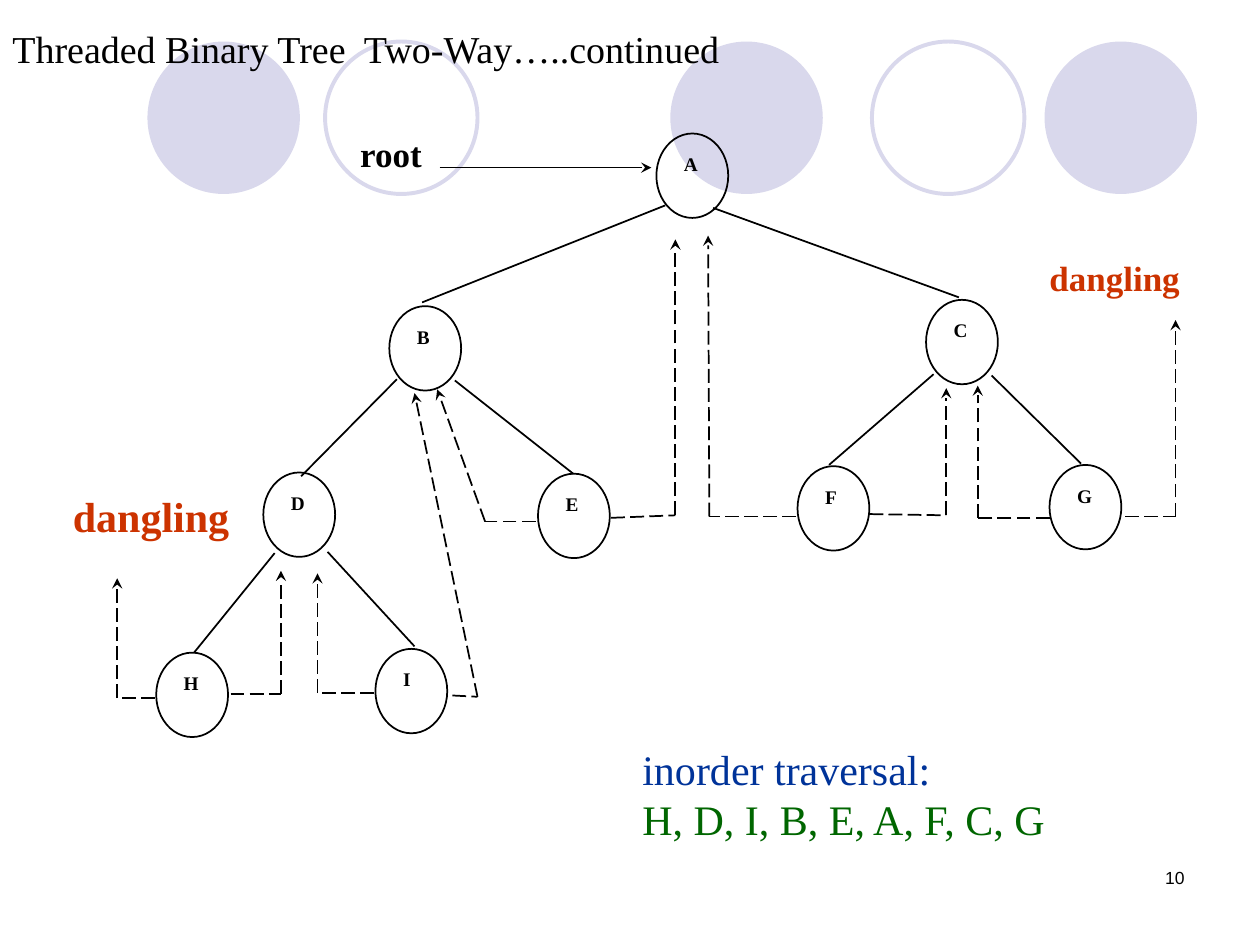
from dataclasses import dataclass
from typing import Any

from lxml.etree import SubElement
from pptx import Presentation
from pptx.dml.color import RGBColor
from pptx.enum.dml import MSO_LINE
from pptx.enum.shapes import MSO_CONNECTOR, MSO_SHAPE
from pptx.enum.text import MSO_ANCHOR, PP_ALIGN
from pptx.oxml.ns import qn
from pptx.util import Inches, Pt

COLORS = {
    "ink": "000000",
    "lavender": "D9D8EC",
    "dangling": "CC3300",
    "heading": "003399",
    "order": "006600",
}
NODE_WIDTH, NODE_HEIGHT = 0.57, 0.67
CIRCLE_SIZE = 1.21


@dataclass
class TreeSlide:
    """Draws the parts of a threaded tree on one slide."""

    slide: Any
    font: str = "Times New Roman"
    line_width: float = 1

    def color(self, name):
        """Return the named colour."""
        return RGBColor.from_string(COLORS[name])

    def ellipse(self, left, top, width, height, fill=None, line=None, weight=1):
        """Draw an ellipse with an optional fill and outline."""
        oval = self.slide.shapes.add_shape(
            MSO_SHAPE.OVAL, Inches(left), Inches(top), Inches(width), Inches(height)
        )
        oval.shadow.inherit = False
        if fill:
            oval.fill.solid()
            oval.fill.fore_color.rgb = self.color(fill)
        else:
            oval.fill.background()
        if line:
            oval.line.color.rgb = self.color(line)
            oval.line.width = Pt(weight)
        else:
            oval.line.fill.background()

    def text(self, left, top, width, height, lines, size, bold=False, font=None, wrap=False):
        """Write one paragraph per (wording, colour) pair and return the frame."""
        frame = self.slide.shapes.add_textbox(
            Inches(left), Inches(top), Inches(width), Inches(height)
        ).text_frame
        frame.word_wrap = wrap
        for index, (wording, color) in enumerate(lines):
            paragraph = frame.add_paragraph() if index else frame.paragraphs[0]
            paragraph.text = wording
            paragraph.font.name = font or self.font
            paragraph.font.size = Pt(size)
            paragraph.font.bold = bold
            paragraph.font.color.rgb = self.color(color)
        return frame

    def node(self, letter, left, top):
        """Draw a tree node with its letter."""
        self.ellipse(left, top, NODE_WIDTH, NODE_HEIGHT, line="ink", weight=self.line_width)
        self.text(left + 0.12, top + 0.1, 0.31, 0.28, [(letter, "ink")], 11, bold=True)

    def line(self, start, end, dashed=False, arrow=False):
        """Draw a straight line, with an arrowhead at its end if asked."""
        connector = self.slide.shapes.add_connector(
            MSO_CONNECTOR.STRAIGHT, *(Inches(value) for value in (*start, *end))
        )
        connector.line.color.rgb = self.color("ink")
        connector.line.width = Pt(self.line_width)
        if dashed:
            connector.line.dash_style = MSO_LINE.LONG_DASH
        properties = connector._element.spPr
        if arrow:
            SubElement(properties.find(qn("a:ln")), qn("a:tailEnd"), type="stealth")
        SubElement(properties, qn("a:effectLst"))

    def thread(self, start, corner, tip):
        """Draw a dashed thread that turns once and ends in an arrowhead."""
        self.line(start, corner, dashed=True)
        self.line(corner, tip, dashed=True, arrow=True)


def main():
    """Build the slide and save it."""
    deck = Presentation()
    deck.slide_width, deck.slide_height = Inches(10), Inches(7.5)
    tree = TreeSlide(deck.slides.add_slide(deck.slide_layouts[6]))

    for left in (5.32, 8.29, 1.17):
        tree.ellipse(left, 0.33, CIRCLE_SIZE, CIRCLE_SIZE, fill="lavender")
    for left in (6.92, 2.58):
        tree.ellipse(left, 0.33, CIRCLE_SIZE, CIRCLE_SIZE, line="lavender", weight=2.25)

    page_number = tree.text(
        7.17, 6.83, 2.33, 0.5, [("10", "ink")], 10, font="Arial", wrap=True
    )
    page_number.paragraphs[0].alignment = PP_ALIGN.RIGHT

    nodes = {
        "A": (5.21, 1.06),
        "B": (3.09, 2.43),
        "C": (7.35, 2.38),
        "D": (2.09, 3.75),
        "E": (4.27, 3.76),
        "F": (6.33, 3.7),
        "G": (8.33, 3.69),
        "H": (1.24, 5.18),
        "I": (2.98, 5.15),
    }
    for letter, position in nodes.items():
        tree.node(letter, *position)

    branches = [
        ((5.28, 1.63), (3.35, 2.4)),
        ((5.66, 1.65), (7.61, 2.36)),
        ((3.15, 3.01), (2.39, 3.78)),
        ((3.61, 3.02), (4.55, 3.76)),
        ((7.41, 2.97), (6.58, 3.69)),
        ((7.87, 2.98), (8.58, 3.68)),
        ((2.18, 4.39), (1.54, 5.18)),
        ((2.6, 4.38), (3.29, 5.13)),
    ]
    for parent, child in branches:
        tree.line(parent, child)

    threads = [
        ((1.23, 5.54), (0.93, 5.54), (0.93, 4.59)),
        ((1.83, 5.51), (2.23, 5.51), (2.23, 4.53)),
        ((2.97, 5.5), (2.52, 5.5), (2.52, 4.55)),
        ((3.59, 5.52), (3.79, 5.53), (3.29, 3.12)),
        ((4.25, 4.14), (3.85, 4.14), (3.47, 3.09)),
        ((4.85, 4.11), (5.36, 4.09), (5.36, 1.9)),
        ((6.32, 4.1), (5.63, 4.1), (5.62, 1.87)),
        ((6.9, 4.08), (7.51, 4.09), (7.51, 3.08)),
        ((8.33, 4.11), (7.76, 4.11), (7.76, 3.06)),
        ((8.93, 4.1), (9.33, 4.1), (9.33, 2.54)),
    ]
    for start, corner, tip in threads:
        tree.thread(start, corner, tip)

    tree.line((3.49, 1.33), (5.17, 1.33), arrow=True)
    tree.text(2.76, 1, 0.7, 0.43, [("root", "ink")], 20, bold=True)
    tree.text(0.48, 3.84, 1.44, 0.5, [("dangling", "dangling")], 24, bold=True)
    tree.text(8.23, 1.99, 1.36, 0.44, [("dangling", "dangling")], 20, bold=True, wrap=True)
    traversal = [("inorder traversal:", "heading"), ("H, D, I, B, E, A, F, C, G", "order")]
    tree.text(5, 5.85, 3.44, 0.9, traversal, 24)

    title = tree.text(
        0, 0.18, 9, 0.48, [("Threaded Binary Tree  Two-Way…..continued", "ink")], 21.7, wrap=True
    )
    title.vertical_anchor = MSO_ANCHOR.MIDDLE
    title.paragraphs[0].line_spacing = 0.8

    deck.save("out.pptx")


if __name__ == "__main__":
    main()
